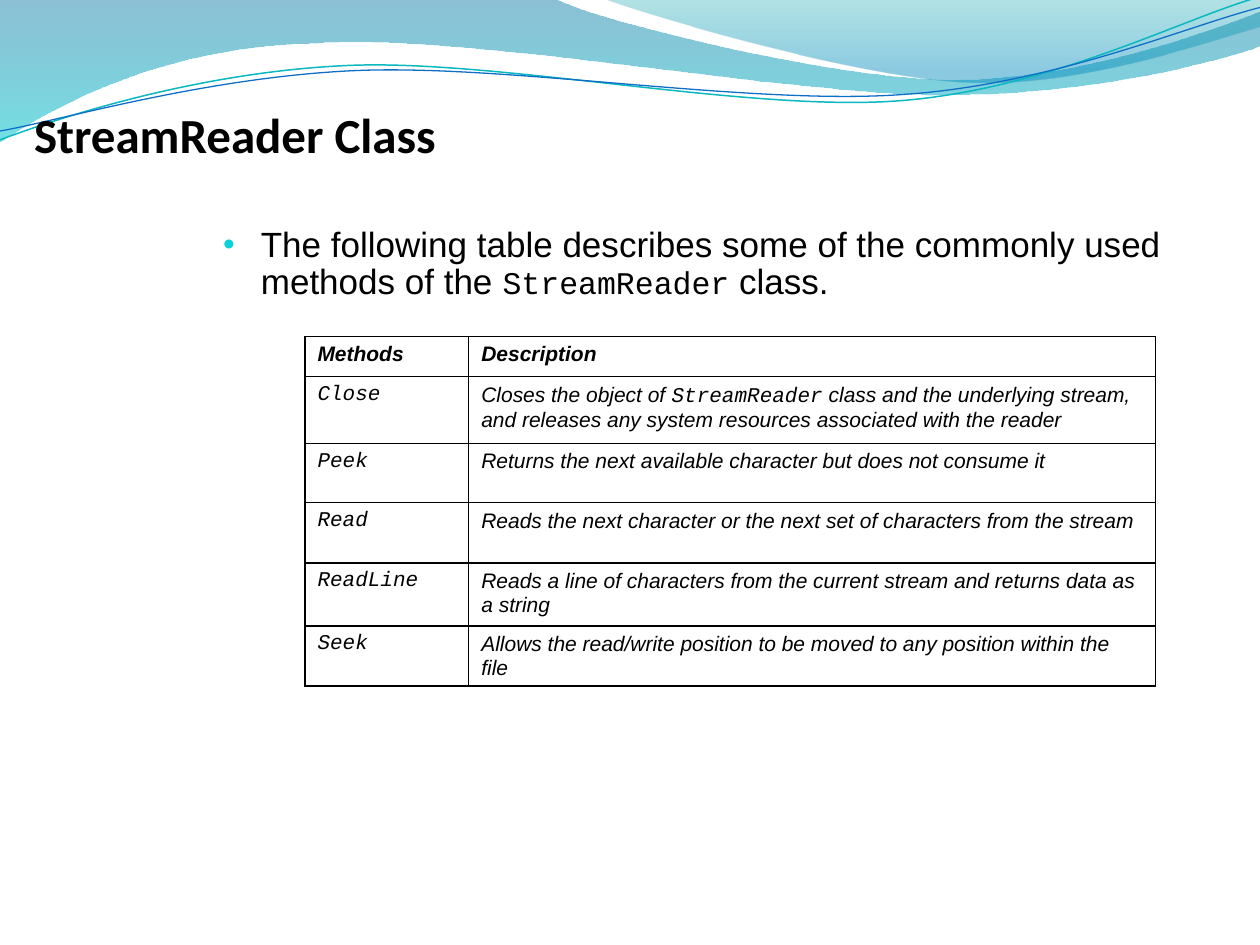
import math

from lxml import etree
from pptx import Presentation
from pptx.dml.color import RGBColor
from pptx.enum.text import MSO_ANCHOR, MSO_AUTO_SIZE, PP_ALIGN
from pptx.oxml.ns import qn
from pptx.util import Inches, Pt

TOP = MSO_ANCHOR.TOP
NO_AUTOFIT = MSO_AUTO_SIZE.NONE
LEFT = PP_ALIGN.LEFT
BLACK = "000000"
SANS, MONO, HEADING = "Arial", "Courier New", "Calibri"
UNITS = 1000  # outline units per inch
CURVE_TILT = -2.7

# Outlines in inches: a pair is a straight step, six numbers are a Bezier step
WAVE_LEFT = [(0, 0), (4.4, -0.01), (4.76, 0.17, 6.64, 0.63, 7.58, 0.63),
             (8.53, 0.63, 9.58, 0.26, 10, 0.09), (10.01, 0.36),
             (9.83, 0.44, 8.7, 0.76, 7.46, 0.75),
             (6.22, 0.75, 3.82, 0.28, 2.57, 0.34),
             (1.29, 0.36, 0.46, 0.83, -0.01, 1.13), (0, 0)]
WAVE_RIGHT = [(4.79, -0.01), (5.09, 0.11, 6.82, 0.62, 7.69, 0.65),
              (8.56, 0.69, 9.61, 0.32, 10, 0.21), (10, 0), (4.79, -0.01)]
LINE_TEAL = [(0, 1.11), (0.48, 0.93, 1.58, 0.57, 2.77, 0.52),
             (3.95, 0.47, 5.93, 0.89, 7.13, 0.8),
             (8.33, 0.71, 9.38, 0.15, 9.98, -0.02)]
LINE_BLUE = [(0, 1.04), (0.47, 0.96, 1.64, 0.61, 2.83, 0.56),
             (4.03, 0.51, 5.97, 0.84, 7.17, 0.75),
             (8.36, 0.67, 9.41, 0.21, 10, 0.06)]

# Method name and the (text, font) runs of its description
METHODS = [
    ("Close", [("Closes the object of ", SANS), ("StreamReader", MONO),
               (" class and the underlying stream, and releases any system "
                "resources associated with the reader", SANS)]),
    ("Peek", [("Returns the next available character but does not consume it", SANS)]),
    ("Read", [("Reads the next character or the next set of characters "
               "from the stream", SANS)]),
    ("ReadLine", [("Reads a line of characters from the current stream and "
                   "returns data as a string", SANS)]),
    ("Seek", [("Allows the read/write position to be moved to any position "
               "within the file", SANS)]),
]
COLUMN_WIDTHS = [1.3, 5.45]
ROW_HEIGHTS = [0.32, 0.53, 0.47, 0.48, 0.5, 0.44]


def color(value):
    return RGBColor.from_string(value)


def add_run(paragraph, text, font, size, bold=False, italic=False):
    run = paragraph.add_run()
    run.text = text
    run.font.name = font
    run.font.size = Pt(size)
    run.font.bold = bold
    run.font.italic = italic
    run.font.color.rgb = color(BLACK)


def turn(point, center, degrees):
    """Turn a point clockwise about a center."""
    angle = math.radians(degrees)
    dx, dy = point[0] - center[0], point[1] - center[1]
    return (center[0] + dx * math.cos(angle) - dy * math.sin(angle),
            center[1] + dx * math.sin(angle) + dy * math.cos(angle))


def add_outline(slide, steps, close, center=(0, 0), tilt=0):
    """Draw the steps; a tilted shape is laid out level, then rotated."""
    points = [turn(pair, center, -tilt)
              for step in steps for pair in zip(step[::2], step[1::2])]
    points = [(round(x * UNITS), round(y * UNITS)) for x, y in points]
    builder = slide.shapes.build_freeform(*points[0], scale=Inches(1) / UNITS)
    builder.add_line_segments(points[1:], close=close)
    shape = builder.convert_to_shape()
    shape.shadow.inherit = False
    shape.rotation = tilt

    # Join each three points of a Bezier step into one curve
    segments = list(shape.element.iter(qn("a:lnTo")))
    for step in steps[1:]:
        count = len(step) // 2
        group, segments = segments[:count], segments[count:]
        if count == 3:
            curve = etree.Element(qn("a:cubicBezTo"))
            group[0].addprevious(curve)
            for segment in group:
                curve.append(segment[0])
                segment.getparent().remove(segment)
    return shape


def add_wave(slide, steps, stops):
    """Filled wave; each stop is (position, color, opacity in percent)."""
    shape = add_outline(slide, steps, close=True)
    shape.line.fill.background()
    shape.fill.gradient()
    shape.fill.gradient_angle = 270
    for stop, (position, value, _) in zip(shape.fill.gradient_stops, stops):
        stop.position = position
        stop.color.rgb = color(value)
    for node, (_, _, opacity) in zip(shape.element.iter(qn("a:srgbClr")), stops):
        etree.SubElement(node, qn("a:alpha"), val=str(opacity * 1000))


def add_curve(slide, steps, center, value, width):
    shape = add_outline(slide, steps, False, center, CURVE_TILT)
    shape.fill.background()
    shape.line.color.rgb = color(value)
    shape.line.width = Pt(width)


def place(placeholder, left, top, width, height):
    """Move a placeholder, bring it to the front and return its paragraph."""
    placeholder.left, placeholder.top = Inches(left), Inches(top)
    placeholder.width, placeholder.height = Inches(width), Inches(height)
    placeholder.element.getparent().append(placeholder.element)
    frame = placeholder.text_frame
    frame.word_wrap = True
    frame.auto_size = NO_AUTOFIT
    frame.vertical_anchor = TOP
    paragraph = frame.paragraphs[0]
    paragraph.alignment = LEFT
    return paragraph


def set_bullet(paragraph, value, size, indent):
    properties = paragraph._p.get_or_add_pPr()
    properties.set("marL", str(Inches(indent)))
    properties.set("indent", str(-Inches(indent)))
    bullet_color = etree.SubElement(properties, qn("a:buClr"))
    etree.SubElement(bullet_color, qn("a:srgbClr"), val=value)
    etree.SubElement(properties, qn("a:buSzPct"), val=str(size * 1000))
    etree.SubElement(properties, qn("a:buFont"), typeface=SANS)
    etree.SubElement(properties, qn("a:buChar"), char="•")


def set_borders(cell, value, width):
    properties = cell._tc.get_or_add_tcPr()
    for index, side in enumerate(("lnL", "lnR", "lnT", "lnB")):
        line = etree.Element(qn(f"a:{side}"), w=str(Pt(width)))
        fill = etree.SubElement(line, qn("a:solidFill"))
        etree.SubElement(fill, qn("a:srgbClr"), val=value)
        properties.insert(index, line)


def fill_cell(cell, runs, bold=False):
    cell.fill.background()
    set_borders(cell, BLACK, 1)
    for text, font in runs:
        add_run(cell.text_frame.paragraphs[0], text, font, 12, bold, italic=True)


def add_method_table(slide):
    table = slide.shapes.add_table(
        len(ROW_HEIGHTS), len(COLUMN_WIDTHS), Inches(2.42), Inches(2.67),
        Inches(sum(COLUMN_WIDTHS)), Inches(sum(ROW_HEIGHTS))).table
    table.first_row = False
    table.horz_banding = False
    for column, width in zip(table.columns, COLUMN_WIDTHS):
        column.width = Inches(width)
    for row, height in zip(table.rows, ROW_HEIGHTS):
        row.height = Inches(height)
    for index, heading in enumerate(("Methods", "Description")):
        fill_cell(table.cell(0, index), [(heading, SANS)], bold=True)
    for index, (name, description) in enumerate(METHODS, start=1):
        fill_cell(table.cell(index, 0), [(name, MONO)])
        fill_cell(table.cell(index, 1), description)


def main():
    presentation = Presentation()
    presentation.slide_width, presentation.slide_height = Inches(10), Inches(7.5)
    slide = presentation.slides.add_slide(presentation.slide_layouts[1])
    title, body = slide.placeholders

    # Header waves
    add_wave(slide, WAVE_LEFT, [(0, "0074A1", 45), (1, "00C6CF", 55)])
    add_wave(slide, WAVE_RIGHT, [(0, "00A1A9", 30), (0.8, "008BBF", 45)])
    add_curve(slide, LINE_TEAL, (4.99, 0.58), "0AB8BF", 0.85)
    add_curve(slide, LINE_BLUE, (5, 0.59), "0F6FC6", 0.75)

    # Introduction
    paragraph = place(body, 1.67, 1.75, 7.83, 0.75)
    paragraph.line_spacing = 0.9
    set_bullet(paragraph, "0BD0D9", 95, 0.3)
    add_run(paragraph, "The following table describes some of the commonly used "
                       "methods of the ", SANS, 20)
    add_run(paragraph, "StreamReader", MONO, 18)
    add_run(paragraph, " class.", SANS, 20)

    # Title
    paragraph = place(title, 0.17, 0.78, 9.33, 0.57)
    add_run(paragraph, "StreamReader Class", HEADING, 28, bold=True)

    # Methods
    add_method_table(slide)
    presentation.save("out.pptx")


if __name__ == "__main__":
    main()
